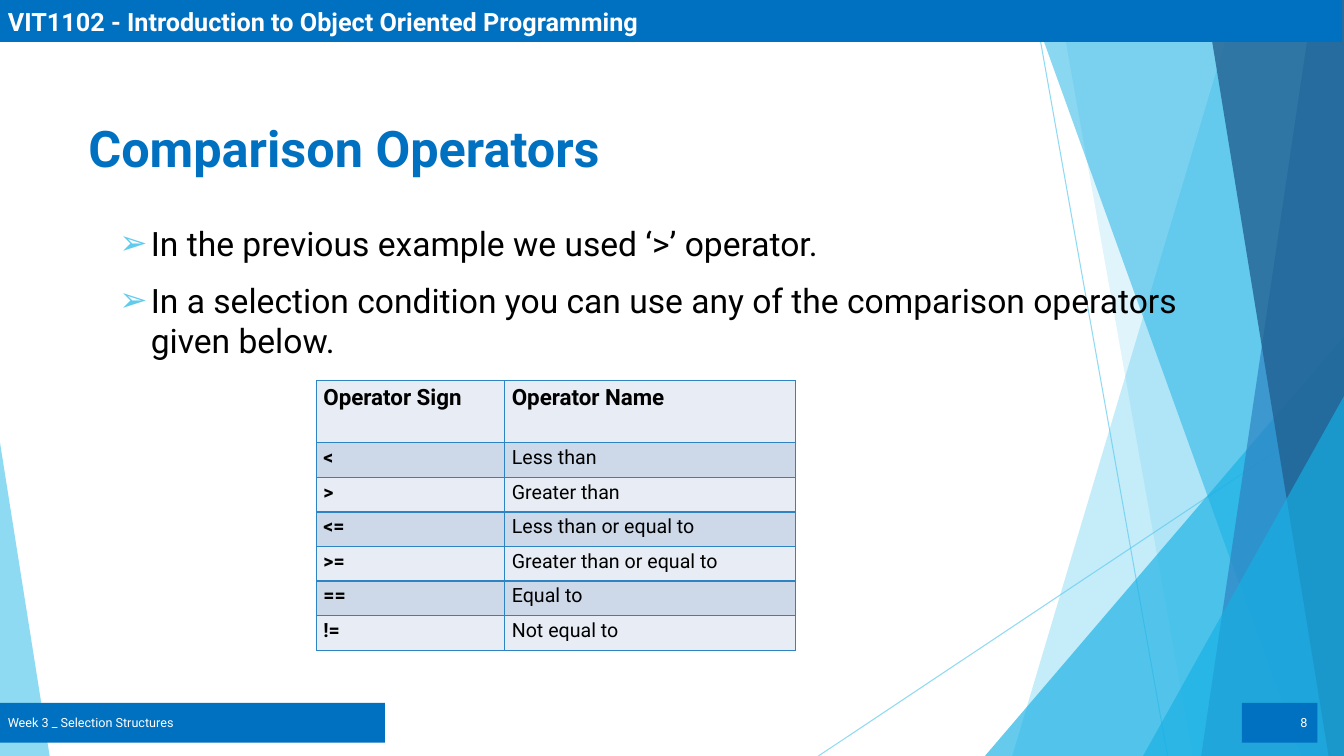
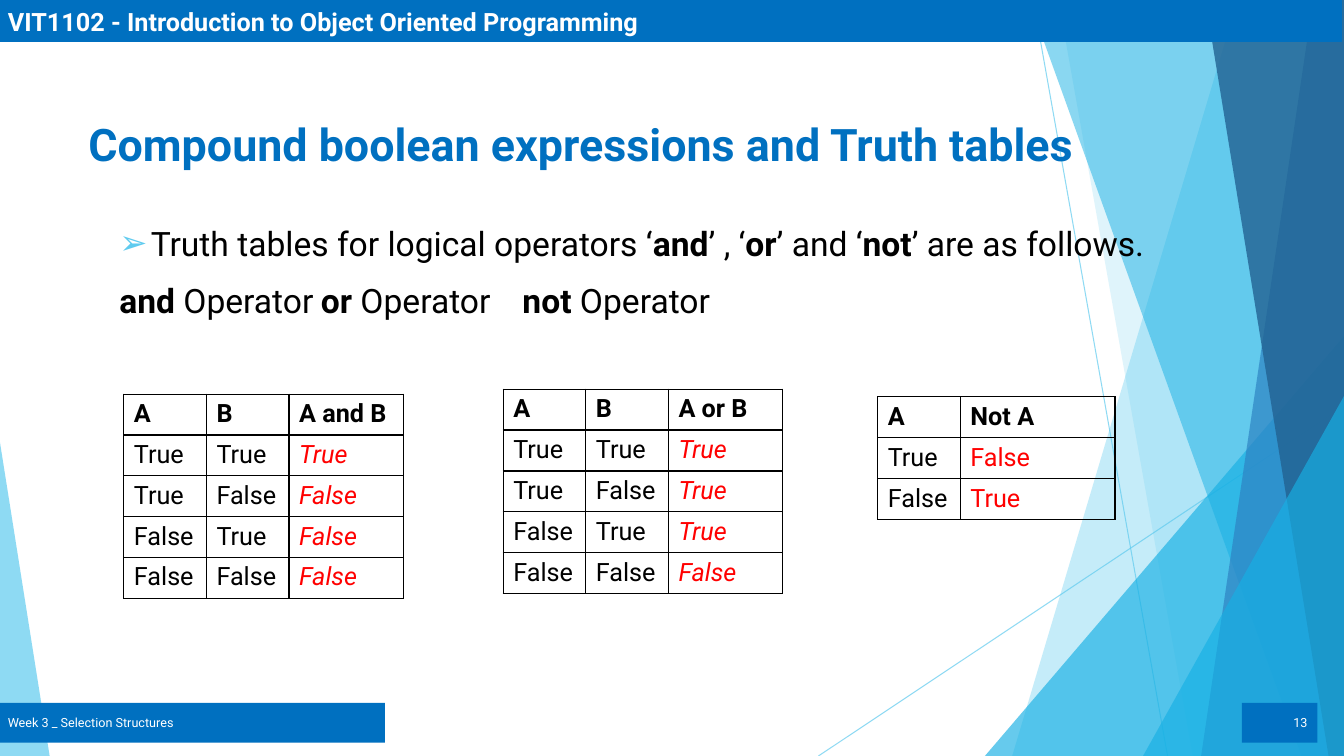
from itertools import product

from lxml.etree import SubElement
from pptx import Presentation
from pptx.dml.color import RGBColor
from pptx.enum.shapes import MSO_CONNECTOR, MSO_SHAPE
from pptx.enum.text import MSO_ANCHOR, MSO_AUTO_SIZE, PP_ALIGN
from pptx.oxml.ns import qn
from pptx.util import Pt

COLORS = {
    "brand": "0070C0",
    "white": "FFFFFF",
    "text": "000000",
    "result": "FF0000",
    "sky": "5FCBEF",
    "cyan": "17B0E4",
    "blue": "2E83C3",
    "navy": "226292",
    "row_light": "E8EDF5",
    "row_dark": "CDD9E9",
}
FONT = "Roboto"
WIDTH, HEIGHT = 960, 540
COURSE = "VIT1102 - Introduction to Object Oriented Programming"
WEEK = "Week 3 _ Selection Structures"
TITLE_BOX = (-1.5, 0, WIDTH, 30)
HEADING_BOX = (56, 80, 750, 51)
BODY_BOX = (78, 155.5, 787, 135)
FOOTER_BOX = (-1.5, 502, 276.5, 28.5)
NUMBER_BOX = (887, 502, 54, 28.5)
FACETS = [
    ("band", (884, 723), "sky", 36),
    ("band", (756, 852), "sky", 20),
    ("triangle", (703.5, 240, 256.5, 300, 1), "cyan", 66),
    ("band", (735, 929.5), "cyan", 50),
    ("band", (938, 858), "blue", 70),
    ("band", (861, 949), "navy", 80),
    ("triangle", (816.5, 283, 143.5, 257, 1), "cyan", 66),
    ("triangle", (0, 316, 35.5, 224, 0), "sky", 70),
]
RAYS = [(738, 0, 834, HEIGHT), (WIDTH, 290, 584.6, HEIGHT)]


def color(name):
    return RGBColor.from_string(COLORS[name])


def points(values):
    return [Pt(value) for value in values]


def place(shape, box):
    shape.left, shape.top, shape.width, shape.height = points(box)


def fill_shape(shape, name):
    shape.fill.solid()
    shape.fill.fore_color.rgb = color(name)


def set_alpha(shape, percent):
    rgb = shape.element.find(".//" + qn("a:srgbClr"))
    SubElement(rgb, qn("a:alpha"), val=str(percent * 1000))


def style_font(font, size, name, bold=False, italic=False):
    font.name = FONT
    font.size = Pt(size)
    font.bold = bold
    font.italic = italic
    font.color.rgb = color(name)


def write_runs(paragraph, text):
    for index, piece in enumerate(text.split("*")):
        if piece:
            run = paragraph.add_run()
            run.text = piece
            if index % 2:
                run.font.bold = True


def add_band(shapes, top_x, bottom_x):
    builder = shapes.build_freeform(Pt(top_x), 0)
    corners = [(WIDTH, 0), (WIDTH, HEIGHT), (bottom_x, HEIGHT)]
    builder.add_line_segments([points(corner) for corner in corners], close=True)
    return builder.convert_to_shape()


def add_triangle(shapes, left, top, width, height, apex):
    shape = shapes.add_shape(MSO_SHAPE.ISOSCELES_TRIANGLE, *points((left, top, width, height)))
    shape.adjustments[0] = apex
    return shape


def add_backdrop(slide):
    group = slide.shapes.add_group_shape()
    for ray in RAYS:
        connector = group.shapes.add_connector(MSO_CONNECTOR.STRAIGHT, *points(ray))
        connector.line.width = Pt(0.75)
        connector.line.color.rgb = color("sky")
        set_alpha(connector, 70)
        SubElement(connector.element.spPr, qn("a:effectLst"))
    builders = {"band": add_band, "triangle": add_triangle}
    for kind, geometry, name, alpha in FACETS:
        facet = builders[kind](group.shapes, *geometry)
        fill_shape(facet, name)
        set_alpha(facet, alpha)
        facet.line.fill.background()
        facet.shadow.inherit = False
    return group


def add_course_title(slide, box):
    title = slide.shapes.title
    place(title, box)
    fill_shape(title, "brand")
    title.text_frame.text = COURSE
    title.text_frame.auto_size = MSO_AUTO_SIZE.NONE
    title.text_frame.vertical_anchor = MSO_ANCHOR.MIDDLE
    paragraph = title.text_frame.paragraphs[0]
    paragraph.alignment = PP_ALIGN.LEFT
    style_font(paragraph.font, 18, "white", bold=True)


def add_heading(slide, box, text, size):
    heading = slide.shapes.add_textbox(*points(box))
    heading.text_frame.word_wrap = True
    heading.text_frame.text = text
    style_font(heading.text_frame.paragraphs[0].font, size, "brand", bold=True)


def add_footer_box(slide, box, text, alignment):
    footer = slide.shapes.add_shape(MSO_SHAPE.RECTANGLE, *points(box))
    fill_shape(footer, "brand")
    footer.line.fill.background()
    footer.shadow.inherit = False
    footer.text_frame.text = text
    footer.text_frame.vertical_anchor = MSO_ANCHOR.MIDDLE
    paragraph = footer.text_frame.paragraphs[0]
    paragraph.alignment = alignment
    style_font(paragraph.font, 9, "white")


def set_bullet(properties):
    indent = Pt(22.5)
    properties.set("marL", str(indent))
    properties.set("indent", str(-indent))
    bullet_color = SubElement(properties, qn("a:buClr"))
    SubElement(bullet_color, qn("a:srgbClr"), val=COLORS["sky"])
    SubElement(properties, qn("a:buChar"), char="➢")


def set_tab_stops(properties, stops):
    properties.set("marL", "0")
    properties.set("indent", "0")
    SubElement(properties, qn("a:buNone"))
    tab_list = SubElement(properties, qn("a:tabLst"))
    for stop in stops:
        SubElement(tab_list, qn("a:tab"), pos=str(Pt(stop)), algn="l")


def add_body(slide, box, bullets, labels=None, stops=()):
    body = slide.placeholders[1]
    place(body, box)
    frame = body.text_frame
    frame.auto_size = MSO_AUTO_SIZE.NONE
    lines = bullets + ([labels] if labels else [])
    for index, text in enumerate(lines):
        paragraph = frame.add_paragraph() if index else frame.paragraphs[0]
        paragraph.space_before = paragraph.space_after = Pt(6)
        properties = paragraph.element.get_or_add_pPr() if hasattr(paragraph, "element") else paragraph._p.get_or_add_pPr()
        if index < len(bullets):
            set_bullet(properties)
        else:
            set_tab_stops(properties, stops)
        style_font(paragraph.font, 24, "text")
        write_runs(paragraph, text)


def add_grid(slide, position, widths, heights, rows, border):
    box = (*position, sum(widths), sum(heights))
    table = slide.shapes.add_table(len(rows), len(widths), *points(box)).table
    table.first_row = table.horz_banding = False
    for column, width in zip(table.columns, widths):
        column.width = Pt(width)
    for row, height, texts in zip(table.rows, heights, rows):
        row.height = Pt(height)
        for cell, text in zip(row.cells, texts):
            cell.text_frame.text = text
            properties = cell._tc.get_or_add_tcPr()
            for side in ("lnL", "lnR", "lnT", "lnB"):
                line = SubElement(properties, qn("a:" + side), w=str(Pt(1)))
                line_fill = SubElement(line, qn("a:solidFill"))
                SubElement(line_fill, qn("a:srgbClr"), val=COLORS[border])
    return table


def add_operator_table(slide, position, rows):
    heights = [44.3] + [24.7] * (len(rows) - 1)
    table = add_grid(slide, position, (134.6, 207.4), heights, rows, "blue")
    for row_index, row in enumerate(table.rows):
        for column_index, cell in enumerate(row.cells):
            fill_shape(cell, "row_dark" if row_index % 2 else "row_light")
            cell.margin_left = cell.margin_right = Pt(5)
            cell.margin_top = cell.margin_bottom = 0
            paragraph = cell.text_frame.paragraphs[0]
            paragraph.line_spacing = 1.15
            is_header = row_index == 0
            style_font(paragraph.font, 16 if is_header else 14, "text",
                       bold=is_header or column_index == 0)


def add_truth_table(slide, position, header, operation, result_width, italic):
    inputs = len(header) - 1
    rows = [header]
    for values in product((True, False), repeat=inputs):
        rows.append([str(value) for value in (*values, operation(*values))])
    widths = [59] * inputs + [result_width]
    table = add_grid(slide, position, widths, [29.2] * len(rows), rows, "text")
    for row_index, row in enumerate(table.rows):
        for column_index, cell in enumerate(row.cells):
            cell.fill.background()
            is_result = row_index > 0 and column_index == inputs
            style_font(cell.text_frame.paragraphs[0].font, 18,
                       "result" if is_result else "text",
                       bold=row_index == 0, italic=is_result and italic)


def add_lesson_slide(presentation, heading, heading_size, number):
    slide = presentation.slides.add_slide(presentation.slide_layouts[1])
    add_course_title(slide, TITLE_BOX)
    add_heading(slide, HEADING_BOX, heading, heading_size)
    add_footer_box(slide, NUMBER_BOX, str(number), PP_ALIGN.RIGHT)
    add_footer_box(slide, FOOTER_BOX, WEEK, PP_ALIGN.LEFT)
    return slide


def add_comparison_slide(presentation):
    slide = add_lesson_slide(presentation, "Comparison Operators", 36, 8)
    add_body(slide, BODY_BOX, [
        "In the previous example we used ‘>’ operator.",
        "In a selection condition you can use any of the comparison operators given below.",
    ])
    add_operator_table(slide, (226, 272), [
        ("Operator Sign", "Operator Name"),
        ("<", "Less than"),
        (">", "Greater than"),
        ("<=", "Less than or equal to"),
        (">=", "Greater than or equal to"),
        ("==", "Equal to"),
        ("!=", "Not equal to"),
    ])
    return slide


def add_truth_slide(presentation):
    slide = add_lesson_slide(presentation, "Compound boolean expressions and Truth tables", 32, 13)
    add_body(
        slide, BODY_BOX,
        ["Truth tables for logical operators ‘*and*’ , ‘*or*’ and ‘*not*’ are as follows."],
        "*and* Operator\t*or* Operator\t*not* Operator", (288, 546))
    add_truth_table(slide, (88.5, 281.5), ("A", "B", "A and B"), lambda a, b: a and b, 81.5, True)
    add_truth_table(slide, (359.5, 278), ("A", "B", "A or B"), lambda a, b: a or b, 81.5, True)
    add_truth_table(slide, (627, 283.5), ("A", "Not A"), lambda a: not a, 110.5, False)


presentation = Presentation()
presentation.slide_width, presentation.slide_height = points((WIDTH, HEIGHT))
comparison_slide = add_comparison_slide(presentation)
add_truth_slide(presentation)
backdrop = add_backdrop(comparison_slide)
presentation.slide_master.shapes.element.insert(2, backdrop.element)
presentation.save("out.pptx")
